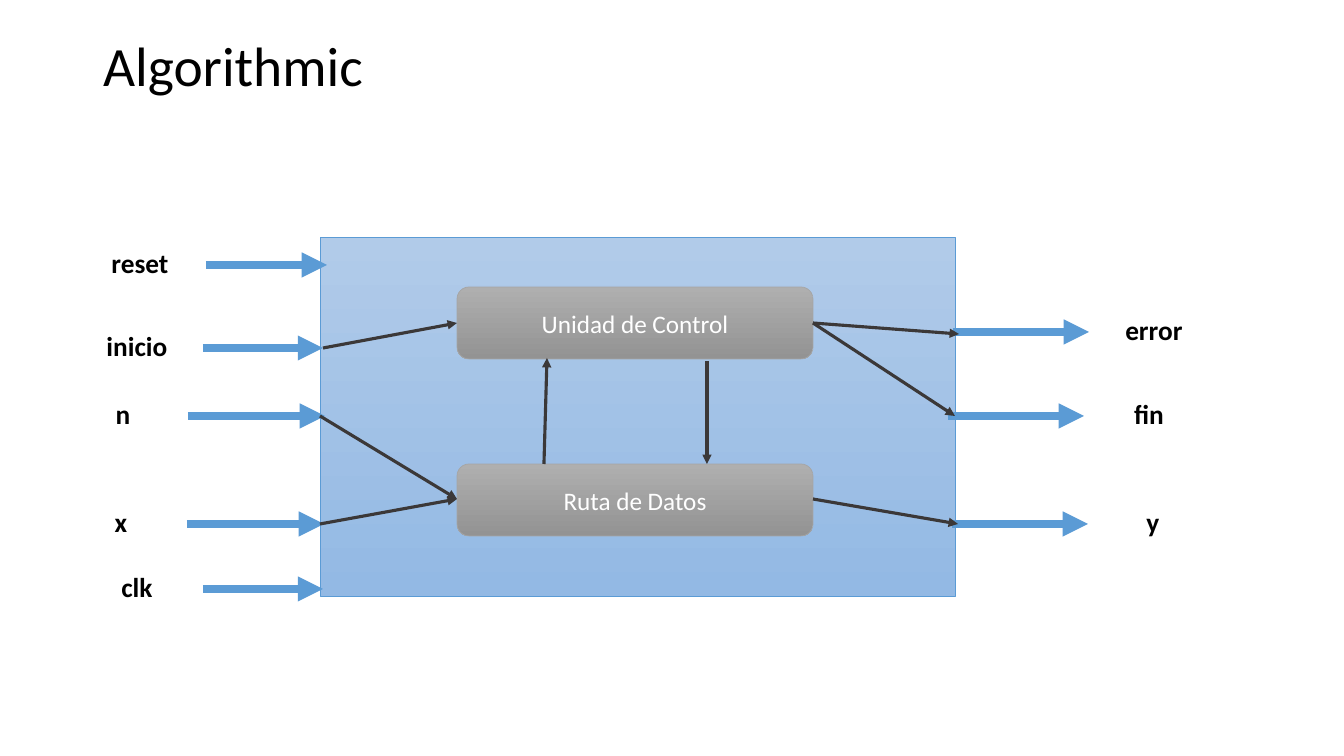
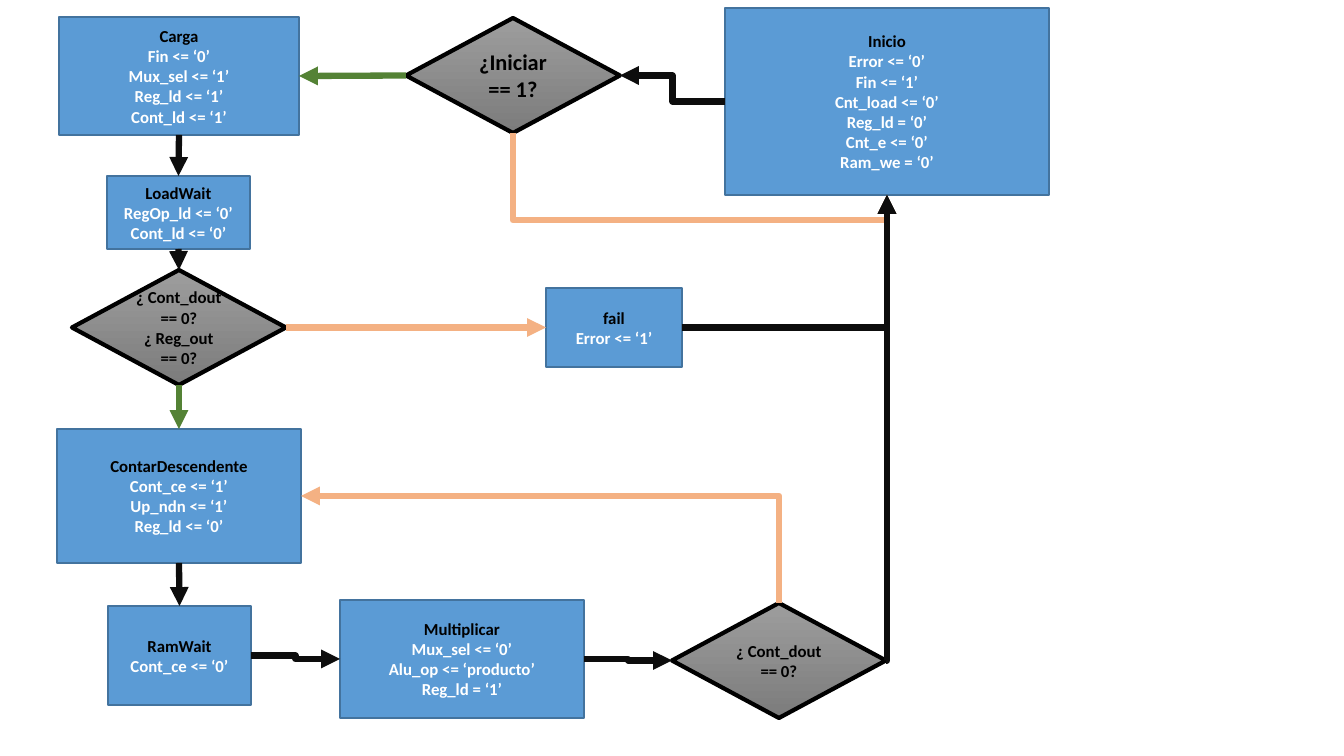
from dataclasses import dataclass
from typing import Any, Optional

import pptx
import pptx.util
import pptx.dml.color
import pptx.enum.shapes
import pptx.enum.text
import pptx.oxml.ns
import lxml.etree

# Shared scale, colours and styles
WIDE, HIGH = 1344, 756
SCALE = 12192000 / WIDE
FONT = "Calibri"
COLORS = {
    "black": "000000", "white": "FFFFFF", "blue": "5B9BD5", "edge": "43739E",
    "sky": "B1CBE9", "sea": "93B9E4", "gray": "A5A5A5", "pale": "AFAFAF",
    "steel": "939393", "ash": "9D9D9D", "lead": "7C7C7C", "wire": "3B3838",
    "ink": "0D0D0D", "yes": "548235", "no": "F4B183",
}
KIND = pptx.enum.shapes.MSO_SHAPE
LINE = pptx.enum.shapes.MSO_CONNECTOR
ALIGN = pptx.enum.text.PP_ALIGN
MIDDLE = pptx.enum.text.MSO_ANCHOR.MIDDLE
TOP, LEFT, BOTTOM, RIGHT = range(4)
qn = pptx.oxml.ns.qn


@dataclass
class Box:
    x: int
    y: int
    w: int
    h: int


@dataclass
class Style:
    kind: Any
    fill: tuple[str, ...]
    line: str
    width: float


@dataclass
class Port:
    name: str
    label: int
    start: int
    end: int
    y: int


@dataclass
class Step:
    box: Box
    style: Style
    lines: list[str]
    size: float = 12


@dataclass
class Link:
    start: str
    out: int
    end: str
    into: int
    color: str
    route: str = "straight"
    bend: Optional[int] = None


PANEL = Style(KIND.RECTANGLE, ("sky", "sea"), "blue", 0.5)
UNIT = Style(KIND.ROUNDED_RECTANGLE, ("pale", "steel"), "gray", 0.5)
STATE = Style(KIND.RECTANGLE, ("blue",), "edge", 1)
TEST = Style(KIND.DIAMOND, ("ash", "lead"), "black", 3)


def px(n: float) -> int:
    return round(n * SCALE)


def rgb(name: str) -> pptx.dml.color.RGBColor:
    return pptx.dml.color.RGBColor.from_string(COLORS[name])


def write(frame: Any, lines: list[str], size: float, colors: list[str],
          bold: bool = False, align: Any = ALIGN.CENTER, gap: float = 1) -> None:
    frame.text = "\n".join(lines)
    frame.word_wrap = True
    frame.auto_size = pptx.enum.text.MSO_AUTO_SIZE.NONE
    frame.vertical_anchor = MIDDLE
    for i, para in enumerate(frame.paragraphs):
        para.alignment = align
        para.line_spacing = gap
        for run in para.runs:
            run.font.name = FONT
            run.font.size = pptx.util.Pt(size)
            run.font.bold = bold
            run.font.color.rgb = rgb(colors[min(i, len(colors) - 1)])


def draw(slide: Any, box: Box, style: Style) -> Any:
    shape = slide.shapes.add_shape(
        style.kind, px(box.x), px(box.y), px(box.w), px(box.h))
    shape.shadow.inherit = False
    if len(style.fill) > 1:
        shape.fill.gradient()
        shape.fill.gradient_angle = 270
        for stop, name in zip(shape.fill.gradient_stops, style.fill):
            stop.color.rgb = rgb(name)
    else:
        shape.fill.solid()
        shape.fill.fore_color.rgb = rgb(style.fill[0])
    shape.line.color.rgb = rgb(style.line)
    shape.line.width = pptx.util.Pt(style.width)
    return shape


def arrow(slide: Any, x0: int, y0: int, x1: int, y1: int,
          color: str, width: float, kind: Any = LINE.STRAIGHT) -> Any:
    line = slide.shapes.add_connector(kind, px(x0), px(y0), px(x1), px(y1))
    line.line.color.rgb = rgb(color)
    line.line.width = pptx.util.Pt(width)
    props = line._element.spPr
    lxml.etree.SubElement(props.find(qn("a:ln")), qn("a:tailEnd"), type="triangle")
    lxml.etree.SubElement(props, qn("a:effectLst"))
    return line


def turn(line: Any) -> None:
    """Make a bent connector leave vertically."""
    dx, dy = line.end_x - line.begin_x, line.end_y - line.begin_y
    midx, midy = (line.begin_x + line.end_x) // 2, (line.begin_y + line.end_y) // 2
    frame = line._element.spPr.find(qn("a:xfrm"))
    for flip in ("flipH", "flipV"):
        frame.attrib.pop(flip, None)
    line.width, line.height = abs(dy), abs(dx)
    line.left, line.top = midx - abs(dy) // 2, midy - abs(dx) // 2
    frame.set("rot", str((90 if dy > 0 else 270) * 60000))
    if (dx > 0) == (dy > 0):
        frame.set("flipV", "1")


def join(slide: Any, shapes: dict[str, Any], link: Link) -> None:
    kind = LINE.STRAIGHT if link.route == "straight" else LINE.ELBOW
    line = arrow(slide, 0, 0, 1, 1, link.color, 4.5, kind)
    line.begin_connect(shapes[link.start], link.out)
    line.end_connect(shapes[link.end], link.into)
    shape = line._element.spPr.find(qn("a:prstGeom"))
    if link.route == "corner":
        shape.set("prst", "bentConnector2")
    if link.bend is not None:
        lxml.etree.SubElement(shape.find(qn("a:avLst")), qn("a:gd"),
                              name="adj1", fmla=f"val {link.bend}")
    if link.route != "straight" and link.out in (TOP, BOTTOM):
        turn(line)


deck = pptx.Presentation()
deck.slide_width, deck.slide_height = px(WIDE), px(HIGH)

# Slide 1: block diagram
slide = deck.slides.add_slide(deck.slide_layouts[5])
title = slide.shapes.title
title.left, title.top, title.width, title.height = px(93), px(40), px(397), px(57)
write(title.text_frame, ["Algorithmic"], 39.6, ["black"], align=ALIGN.LEFT, gap=0.9)
draw(slide, Box(320, 237, 635, 359), PANEL)

PORTS = [
    Port("reset", 75, 206, 327, 265),
    Port("inicio", 72, 203, 323, 348),
    Port("n", 58, 188, 325, 416),
    Port("x", 56, 187, 324, 524),
    Port("clk", 72, 203, 323, 589),
    Port("error", 1089, 953, 1089, 332),
    Port("fin", 1084, 948, 1084, 416),
    Port("y", 1088, 952, 1088, 524),
]
for port in PORTS:
    label = slide.shapes.add_textbox(px(port.label), px(port.y - 29), px(130), px(57))
    write(label.text_frame, [port.name], 19.5, ["black"], bold=True, gap=0.9)
    arrow(slide, port.start, port.y, port.end, port.y, "blue", 6)

for name, y in (("Unidad de Control", 287), ("Ruta de Datos", 464)):
    unit = draw(slide, Box(457, y, 356, 72), UNIT)
    write(unit.text_frame, [name], 18, ["white"])

WIRES = [
    (544, 464, 547, 358), (707, 361, 707, 464),
    (323, 348, 457, 323), (320, 524, 457, 499), (320, 416, 457, 499),
    (813, 499, 958, 524), (813, 323, 955, 416), (813, 323, 959, 334),
]
for wire in WIRES:
    arrow(slide, *wire, "wire", 2.25)

# Slide 2: state chart
slide = deck.slides.add_slide(deck.slide_layouts[6])
STEPS = {
    "load": Step(Box(59, 17, 240, 118), STATE, [
        "Carga", "Fin <= ‘0’", "Mux_sel <= ‘1’", "Reg_ld <= ‘1’", "Cont_ld <= ‘1’"]),
    "count": Step(Box(57, 429, 244, 134), STATE, [
        "ContarDescendente", "Cont_ce <= ‘1’", "Up_ndn <= ‘1’", "Reg_ld <= ‘0’"]),
    "times": Step(Box(340, 600, 244, 118), STATE, [
        "Multiplicar", "Mux_sel <= ‘0’", "Alu_op <= ‘producto’", "Reg_ld = ‘1’"]),
    "fail": Step(Box(546, 288, 136, 79), STATE, ["fail", "Error <= ‘1’"]),
    "start": Step(Box(725, 8, 324, 187), STATE, [
        "Inicio", "Error <= ‘0’", "Fin <= ‘1’", "Cnt_load <= ‘0’",
        "Reg_ld = ‘0’", "Cnt_e <= ‘0’", "Ram_we = ‘0’"]),
    "wait": Step(Box(107, 176, 143, 73), STATE, [
        "LoadWait", "RegOp_ld <= ‘0’", "Cont_ld <= ‘0’"]),
    "ram": Step(Box(108, 606, 143, 99), STATE, ["RamWait", "Cont_ce <= ‘0’"]),
    "begin": Step(Box(406, 18, 214, 115), TEST, ["¿Iniciar == 1?"], 16),
    "zero": Step(Box(72, 270, 214, 115), TEST, [
        "¿ Cont_dout == 0?", "¿ Reg_out == 0?"]),
    "done": Step(Box(672, 603, 214, 115), TEST, ["¿ Cont_dout == 0?"]),
}
shapes = {}
for key, step in STEPS.items():
    shapes[key] = draw(slide, step.box, step.style)
    colors = ["black", "white"] if step.style is STATE else ["black"]
    write(shapes[key].text_frame, step.lines, step.size, colors, bold=True)

LINKS = [
    Link("start", LEFT, "begin", RIGHT, "ink", "elbow"),
    Link("begin", LEFT, "load", RIGHT, "yes"),
    Link("begin", BOTTOM, "start", BOTTOM, "no", "elbow", 140800),
    Link("load", BOTTOM, "wait", TOP, "ink"),
    Link("wait", BOTTOM, "zero", TOP, "ink"),
    Link("zero", RIGHT, "fail", LEFT, "no"),
    Link("zero", BOTTOM, "count", TOP, "yes"),
    Link("fail", RIGHT, "start", BOTTOM, "ink", "corner"),
    Link("count", BOTTOM, "ram", TOP, "ink"),
    Link("ram", RIGHT, "times", LEFT, "ink", "elbow"),
    Link("times", RIGHT, "done", LEFT, "ink", "elbow"),
    Link("done", TOP, "count", RIGHT, "no", "corner"),
    Link("done", RIGHT, "start", BOTTOM, "ink", "corner"),
]
for link in LINKS:
    join(slide, shapes, link)

deck.save("out.pptx")
